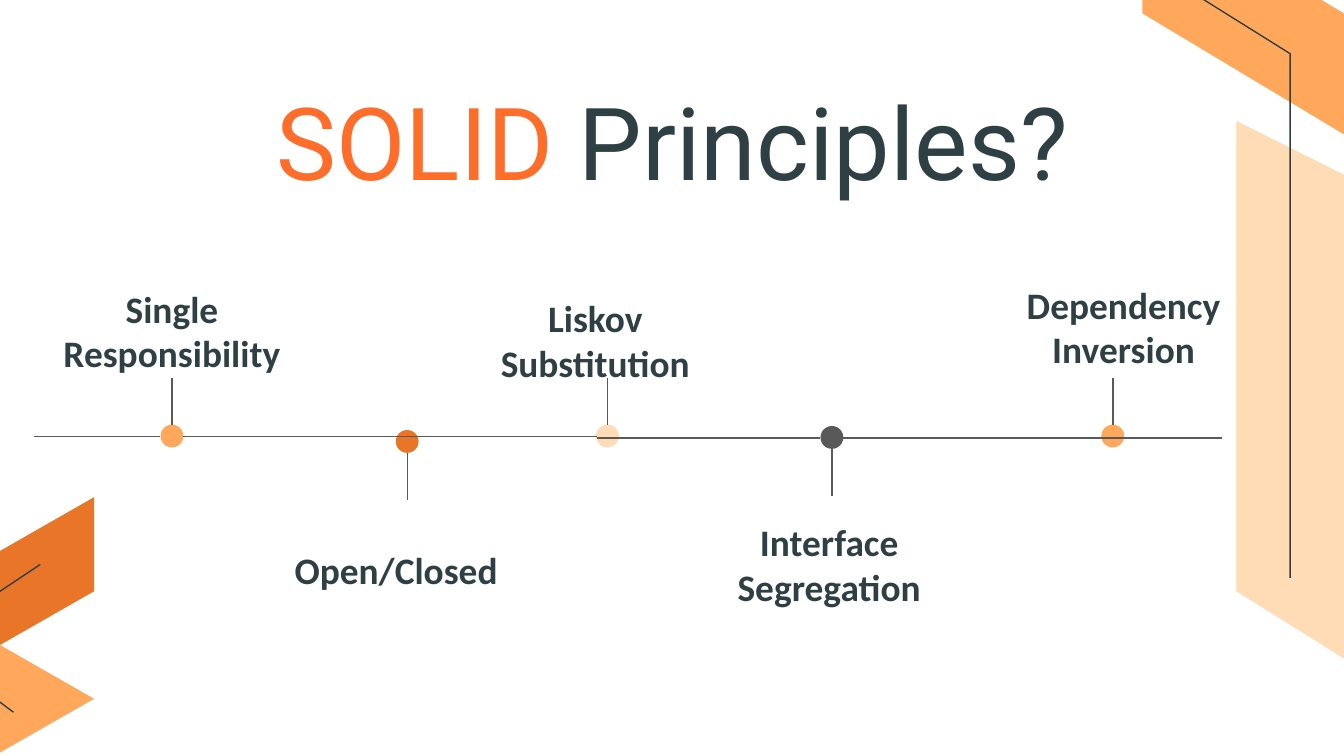
"""Build the SOLID principles timeline slide on a grid of tenth-inch cells."""
from lxml.etree import SubElement
from pptx import Presentation
from pptx.dml.color import RGBColor
from pptx.enum.shapes import MSO_CONNECTOR as Connector, MSO_SHAPE as Shape
from pptx.enum.text import MSO_ANCHOR as Anchor, PP_ALIGN as Align
from pptx.oxml.ns import qn
from pptx.util import Inches, Pt

CELL = Inches(0.1)
COLUMNS, ROWS = 100, 56.25
DOT = 1.7
AXIS = 32.5
STEM = 3.5
LABEL_WIDTH, LABEL_HEIGHT = 23.4, 4.4
INK, GRAY = "2F4044", "595959"
ORANGE, AMBER, PEACH, TITLE_ORANGE = "E97529", "FFA85C", "FFDCB6", "FF6D2A"

PANELS = [
    (PEACH, [(92.3, 8.7), (100, 13.1), (100, 48.6), (92.3, 44.2)]),
    (AMBER, [(84.6, -7.6), (100, 1.3), (100, 10.1), (84.6, 1.3)]),
    (ORANGE, [(0, 40.6), (6.8, 36.7), (6.8, 44.5), (0, 48.4)]),
    (AMBER, [(-6.8, 52.3), (0, 48.4), (6.8, 52.3), (0, 56.2)]),
]
ACCENTS = [
    [(96.2, 43.1), (96.1, 3.5), (80.1, -5.7)],
    [(1.4, 52.7), (-2.8, 50), (-2.8, 46.3), (3.4, 42.5)],
]
# name, label left, label top, label top inset, dot centre, dot top, colour, stem up
PRINCIPLES = [
    ("Single Responsibility", 1.1, 22.9, 0, 12.8, 31.6, AMBER, True),
    ("Open/Closed ", 18.1, 40.7, 0, 30.3, 32, ORANGE, False),
    ("Liskov Substitution", 32.6, 23.1, 1, 45.2, 31.6, PEACH, True),
    ("Interface Segregation", 50, 39.8, 1, 61.9, 31.7, GRAY, False),
    ("Dependency Inversion", 71.9, 22.6, 0, 82.8, 31.6, AMBER, True),
]
AXIS_PARTS = [(11.9, 2.5, AXIS), (13.6, 41, AXIS), (27.7, 44.4, AXIS),
              (44.4, 61, AXIS + 0.1), (62.7, 90.9, AXIS + 0.1)]


def cells(*counts):
    """Turn counts of grid cells into lengths."""
    return [round(count * CELL) for count in counts]


def color(hex_text):
    """Return the colour for a hex string."""
    return RGBColor.from_string(hex_text)


def add_outline(slide, points, fill=None):
    """Draw a filled polygon, or an open thin stroke when no fill is given."""
    builder = slide.shapes.build_freeform(*points[0], scale=CELL)
    builder.add_line_segments(points[1:], close=fill is not None)
    outline = builder.convert_to_shape()
    outline.shadow.inherit = False
    if fill:
        outline.fill.solid()
        outline.fill.fore_color.rgb = color(fill)
        outline.line.fill.background()
    else:
        outline.fill.background()
        outline.line.color.rgb = color(INK)
        outline.line.width = Pt(0.75)


def add_line(slide, start, end):
    """Draw a thin gray line between two grid points."""
    line = slide.shapes.add_connector(Connector.STRAIGHT, *cells(*start, *end))
    line.line.color.rgb = color(GRAY)
    line.line.width = Pt(0.75)
    SubElement(line._element.spPr, qn("a:effectLst"))
    return line


def add_text(slide, place, parts, font, size, bold, anchor, top_inset=0):
    """Write centred text from (words, colour) parts."""
    frame = slide.shapes.add_textbox(*cells(*place)).text_frame
    frame.word_wrap = True
    frame.vertical_anchor = anchor
    frame.margin_top, = cells(top_inset)
    frame.margin_left = frame.margin_right = frame.margin_bottom = CELL
    paragraph = frame.paragraphs[0]
    paragraph.alignment = Align.CENTER
    for words, ink in parts:
        run = paragraph.add_run()
        run.text = words
        run.font.name, run.font.size, run.font.bold = font, Pt(size), bold
        run.font.color.rgb = color(ink)


def add_principle(slide, name, left, top, inset, center, dot_top, fill, upward):
    """Draw one principle: its label, dot and stem."""
    add_text(slide, (left, top, LABEL_WIDTH, LABEL_HEIGHT), [(name, INK)],
             "Calibri", 20, True, Anchor.MIDDLE, inset)
    dot = slide.shapes.add_shape(
        Shape.OVAL, *cells(center - DOT / 2, dot_top, DOT, DOT))
    dot.shadow.inherit = False
    dot.fill.solid()
    dot.fill.fore_color.rgb = color(fill)
    dot.line.fill.background()
    edge = dot_top if upward else dot_top + DOT
    tip = edge - STEM if upward else edge + STEM
    stem = add_line(slide, (center, edge), (center, tip))
    if upward:
        stem.begin_connect(dot, 0)


def main():
    """Build and save the slide."""
    deck = Presentation()
    deck.slide_width, deck.slide_height = cells(COLUMNS, ROWS)
    slide = deck.slides.add_slide(deck.slide_layouts[6])
    for fill, corners in PANELS:
        add_outline(slide, corners, fill)
    for points in ACCENTS:
        add_outline(slide, points)
    add_text(slide, (7.9, 5.9, 84.3, 5.7),
             [("SOLID ", TITLE_ORANGE), ("Principles?", INK)],
             "Roboto", 54, False, Anchor.TOP)
    for principle in PRINCIPLES:
        add_principle(slide, *principle)
    for start, end, height in AXIS_PARTS:
        add_line(slide, (start, height), (end, height))
    deck.save("out.pptx")


if __name__ == "__main__":
    main()
